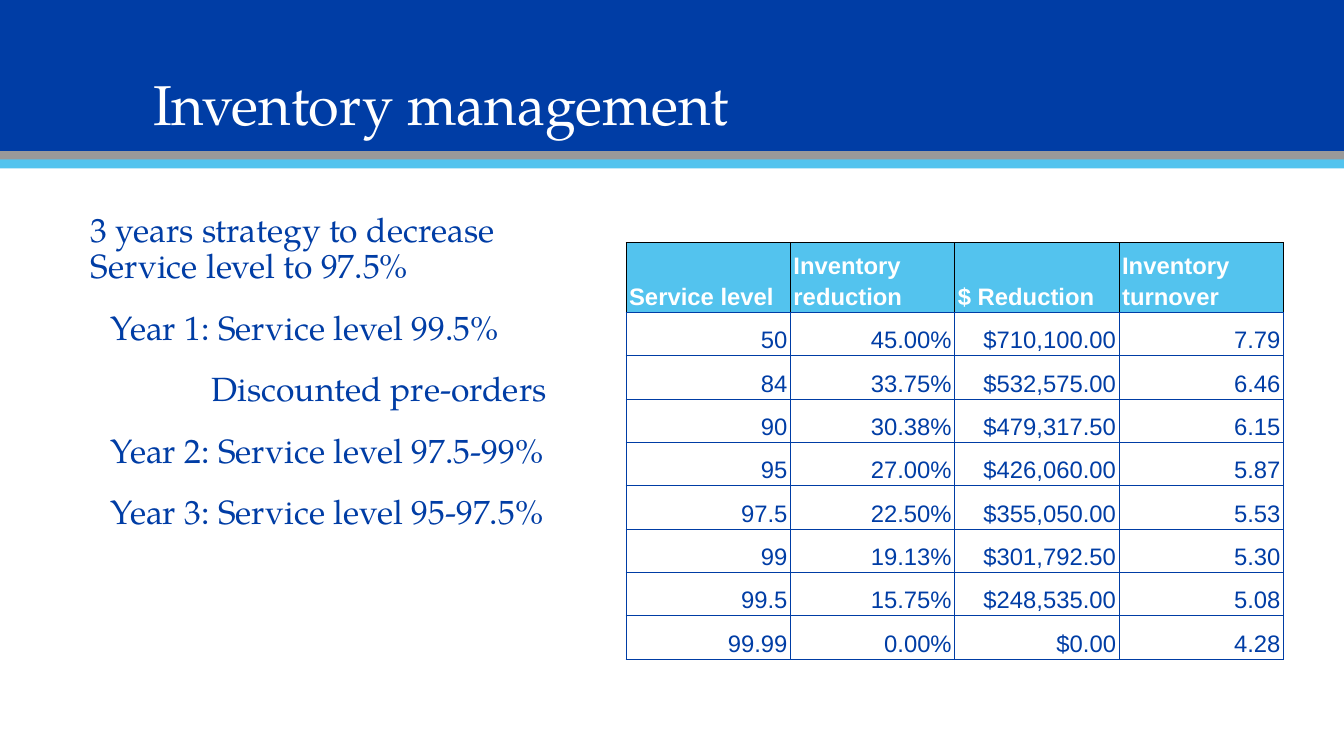
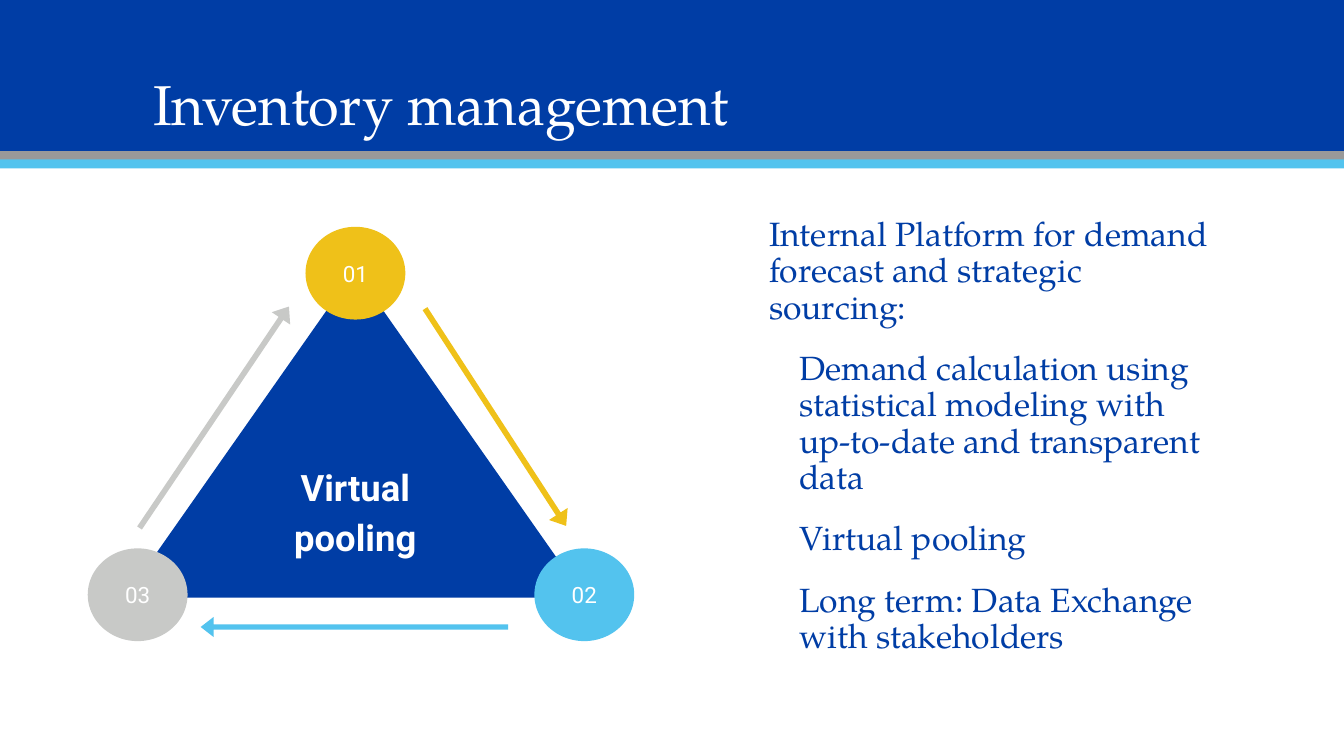
from dataclasses import dataclass

from lxml.etree import SubElement
from pptx import Presentation
from pptx.dml.color import RGBColor
from pptx.enum.shapes import MSO_SHAPE
from pptx.enum.text import MSO_ANCHOR, PP_ALIGN
from pptx.oxml.ns import qn
from pptx.util import Inches, Pt


@dataclass(frozen=True)
class Theme:
    navy: str = "003DA5"
    sky: str = "53C3EE"
    gray: str = "999999"
    silver: str = "C8C9C7"
    gold: str = "EFC119"
    white: str = "FFFFFF"
    black: str = "000000"
    serif: str = "TeX Gyre Pagella"
    sans: str = "Roboto"
    table_font: str = "Arial"
    title_size: int = 40
    body_size: int = 24
    center_size: int = 26
    number_size: int = 16
    table_size: int = 17


theme = Theme()


def write(frame, lines, *, size, color, font, bold=False, align=PP_ALIGN.LEFT,
          anchor=MSO_ANCHOR.TOP, spacing=1.0, gap=0, insets=(0.1, 0.05)):
    """Fill a text frame or table cell with (text, left indent in inches) lines."""
    frame.margin_left = frame.margin_right = Inches(insets[0])
    frame.margin_top = frame.margin_bottom = Inches(insets[1])
    frame.vertical_anchor = anchor
    frame.word_wrap = True
    for index, (text, indent) in enumerate(lines):
        para = frame.add_paragraph() if index else frame.paragraphs[0]
        para.alignment = align
        para.line_spacing = spacing
        para.space_before = Pt(gap if index else 0)
        if indent:
            para._p.get_or_add_pPr().set("marL", str(Inches(indent)))
        span = para.add_run()
        span.text = text
        span.font.size = Pt(size)
        span.font.name = font
        span.font.bold = bold
        span.font.color.rgb = RGBColor.from_string(color)


def add_flat_shape(page, kind, area, color):
    shape = page.shapes.add_shape(kind, *map(Inches, area))
    shape.shadow.inherit = False
    shape.fill.solid()
    shape.fill.fore_color.rgb = RGBColor.from_string(color)
    shape.line.fill.background()
    return shape


deck = Presentation()
deck.slide_width, deck.slide_height = Inches(13.33), Inches(7.5)

bands = [(0, 1.5, theme.navy), (1.5, 0.09, theme.gray), (1.58, 0.09, theme.sky)]
bodies = [
    ((0.5, 2.07, 5.27, 4.75), [
        ("3 years strategy to decrease Service level to 97.5%", 0.3),
        ("Year 1: Service level 99.5%", 0.5),
        ("Discounted pre-orders", 1.5),
        ("Year 2: Service level 97.5-99%", 0.5),
        ("Year 3: Service level 95-97.5%", 0.5),
    ]),
    ((7.23, 2.11, 5, 4.75), [
        ("Internal Platform for demand forecast and strategic sourcing:", 0.3),
        ("Demand calculation using statistical modeling with up-to-date "
         "and transparent data", 0.6),
        ("Virtual pooling", 0.6),
        ("Long term: Data Exchange with stakeholders", 0.6),
    ]),
]

# Shared header and body text
for body_area, body_lines in bodies:
    page = deck.slides.add_slide(deck.slide_layouts[6])
    for top, height, color in bands:
        add_flat_shape(page, MSO_SHAPE.RECTANGLE, (0, top, 13.33, height), color)
    title = page.shapes.add_textbox(*map(Inches, (1.42, 0.28, 10.5, 1.13)))
    write(title.text_frame, [("Inventory management", 0)], size=theme.title_size,
          color=theme.white, font=theme.serif, anchor=MSO_ANCHOR.BOTTOM, spacing=0.9)
    body = page.shapes.add_textbox(*map(Inches, body_area))
    write(body.text_frame, body_lines, size=theme.body_size, color=theme.navy,
          font=theme.serif, spacing=0.9, gap=18)

table_page, cycle_page = deck.slides

# Service level table
rows = [
    ("Service level", "Inventory reduction", "$ Reduction", "Inventory turnover"),
    ("50", "45.00%", "$710,100.00", "7.79"),
    ("84", "33.75%", "$532,575.00", "6.46"),
    ("90", "30.38%", "$479,317.50", "6.15"),
    ("95", "27.00%", "$426,060.00", "5.87"),
    ("97.5", "22.50%", "$355,050.00", "5.53"),
    ("99", "19.13%", "$301,792.50", "5.30"),
    ("99.5", "15.75%", "$248,535.00", "5.08"),
    ("99.99", "0.00%", "$0.00", "4.28"),
]
column_width, header_height, row_height = 1.63, 0.67, 0.43
table = table_page.shapes.add_table(
    len(rows), len(rows[0]), Inches(6.21), Inches(2.41),
    Inches(column_width * len(rows[0])),
    Inches(header_height + row_height * (len(rows) - 1))).table
table.first_row = table.horz_banding = False
for column in table.columns:
    column.width = Inches(column_width)
for row_index, values in enumerate(rows):
    header = row_index == 0
    table.rows[row_index].height = Inches(header_height if header else row_height)
    for column_index, value in enumerate(values):
        cell = table.cell(row_index, column_index)
        write_target = cell.text_frame
        write(write_target, [(value, 0)], size=theme.table_size,
              color=theme.white if header else theme.navy, font=theme.table_font,
              bold=header, align=PP_ALIGN.LEFT if header else PP_ALIGN.RIGHT,
              spacing=1.15)
        cell.margin_left = cell.margin_right = Inches(0.03)
        cell.margin_top = cell.margin_bottom = Inches(0.02)
        cell.vertical_anchor = MSO_ANCHOR.BOTTOM
        properties = cell._tc.get_or_add_tcPr()
        for side in ("lnL", "lnR", "lnT", "lnB"):
            border = SubElement(properties, qn(f"a:{side}"), w=str(Pt(0.75)))
            fill = SubElement(border, qn("a:solidFill"))
            black = header and side != "lnB"
            SubElement(fill, qn("a:srgbClr"), val=theme.black if black else theme.navy)
        cell.fill.solid()
        cell.fill.fore_color.rgb = RGBColor.from_string(
            theme.sky if header else theme.white)

# Virtual pooling cycle
add_flat_shape(cycle_page, MSO_SHAPE.ISOSCELES_TRIANGLE,
               (1.24, 2.68, 4.56, 3.25), theme.navy)
center = cycle_page.shapes.add_textbox(*map(Inches, (2.26, 4.42, 2.53, 1.31)))
write(center.text_frame, [("Virtual pooling", 0)], size=theme.center_size,
      color=theme.white, font=theme.sans, bold=True, align=PP_ALIGN.CENTER,
      spacing=1.15, insets=(0.13, 0.13))

steps = [
    ("03", theme.silver, (0.87, 5.44), (0.8, 4.03, 2.65, 0.22), 304),
    ("01", theme.gold, (3.03, 2.25), (3.63, 4.03, 2.57, 0.22), 57),
    ("02", theme.sky, (5.3, 5.44), (1.99, 6.12, 3.05, 0.2), 180),
]
for number, color, corner, arrow_area, angle in steps:
    arrow = add_flat_shape(cycle_page, MSO_SHAPE.RIGHT_ARROW, arrow_area, color)
    arrow.rotation = angle
    arrow.adjustments[0], arrow.adjustments[1] = 0.255, 0.643
    circle = add_flat_shape(cycle_page, MSO_SHAPE.OVAL, (*corner, 0.99, 0.92), color)
    write(circle.text_frame, [(number, 0)], size=theme.number_size,
          color=theme.white, font=theme.sans, align=PP_ALIGN.CENTER,
          anchor=MSO_ANCHOR.MIDDLE, insets=(0.13, 0.13))

deck.save("out.pptx")
